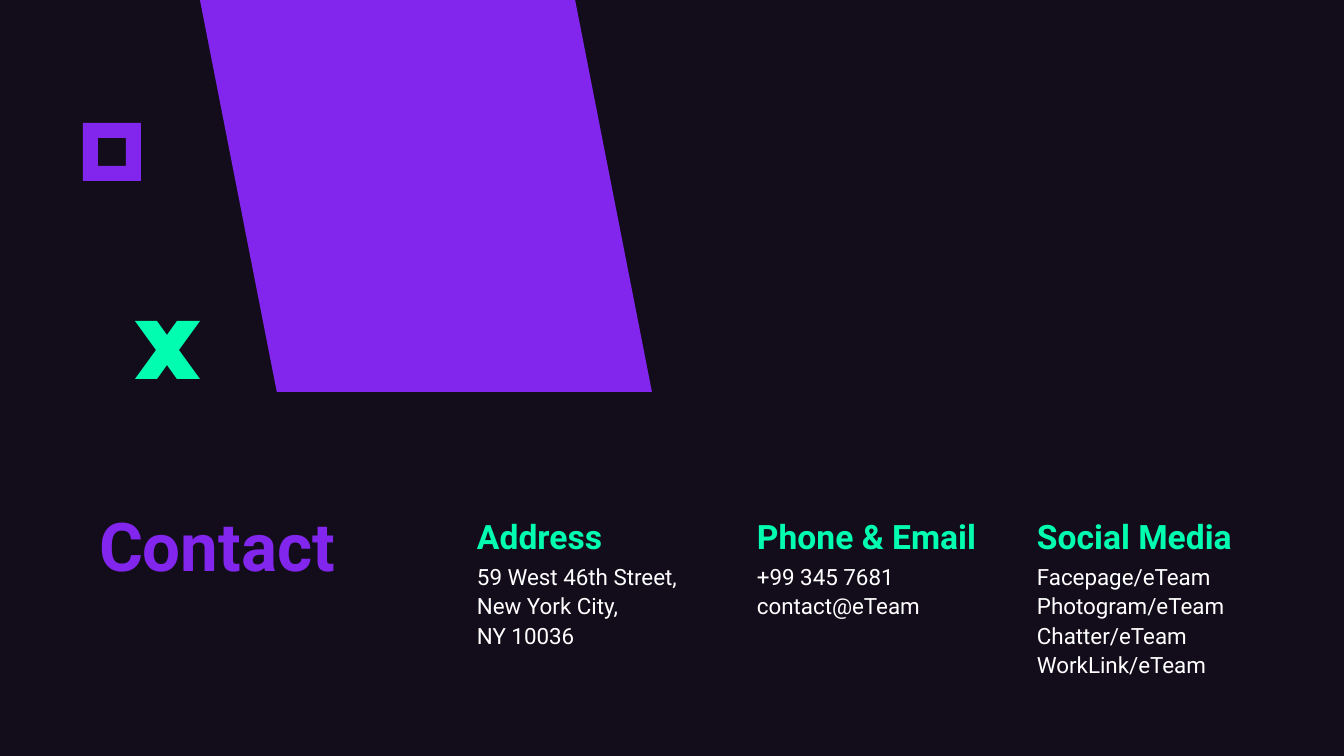
import copy

import pptx
import pptx.dml.color
import pptx.enum.shapes
import pptx.enum.text
import pptx.oxml.ns
import pptx.util

PX = 914400 / 100.8  # EMU in one pixel
ANCHOR = pptx.enum.text.MSO_ANCHOR
THEME = {
    "font": "Roboto",
    "dark": "130D1B", "purple": "8226EE", "green": "01FDB0", "white": "FFFFFF",
    "title": {"size": 48, "bold": True, "color": "purple", "spacing": 0.9, "anchor": ANCHOR.TOP},
    "heading": {"size": 24, "bold": True, "color": "green", "spacing": 1.1, "anchor": ANCHOR.BOTTOM},
    "body": {"size": 16, "bold": False, "color": "white", "spacing": 1.1, "anchor": ANCHOR.TOP},
}


def paint(sp, color):
    sp.shadow.inherit = False
    sp.fill.solid()
    sp.fill.fore_color.rgb = pptx.dml.color.RGBColor.from_string(THEME[color])
    sp.line.fill.background()


def add_text(text, style, box):
    """Add a text box; in text, \\n starts a paragraph and \\v breaks a line."""
    look = THEME[style]
    tf = slide.shapes.add_textbox(*[round(v * PX) for v in box]).text_frame
    frame = {"word_wrap": True, "vertical_anchor": look["anchor"], "margin_left": 0,
             "margin_top": 0, "margin_right": 0, "margin_bottom": 0}
    for name, value in frame.items():
        setattr(tf, name, value)
    tf.text = text
    font = {"name": THEME["font"], "size": pptx.util.Pt(look["size"]), "bold": look["bold"]}
    for p in tf.paragraphs:
        p.line_spacing = look["spacing"]
        for r in p.runs:
            for name, value in font.items():
                setattr(r.font, name, value)
            r.font.color.rgb = pptx.dml.color.RGBColor.from_string(THEME[look["color"]])
        # Line breaks take the type size of the text around them
        for br in p._p.findall(pptx.oxml.ns.qn("a:br")):
            br.append(copy.deepcopy(p.runs[0]._r.rPr))


prs = pptx.Presentation()
prs.slide_width = round(1344 * PX)
prs.slide_height = round(756 * PX)
slide = prs.slides.add_slide(prs.slide_layouts[6])
slide.background.fill.solid()
slide.background.fill.fore_color.rgb = pptx.dml.color.RGBColor.from_string(THEME["dark"])

# Title
add_text("Contact", "title", (99, 513, 353, 204))

# Contact columns
columns = [
    ("Address", "59 West 46th Street,\vNew York City,\vNY 10036"),
    ("Phone & Email", "+99 345 7681\ncontact@eTeam"),
    ("Social Media", "Facepage/eTeam\nPhotogram/eTeam\nChatter/eTeam\nWorkLink/eTeam"),
]
for i, (heading, body) in enumerate(columns):
    left = 477 + 280 * i
    add_text(heading, "heading", (left, 462, 255, 94))
    add_text(body, "body", (left, 560, 255, 134))

# Green cross and purple square ring
cross = [(135, 321), (157, 321), (167, 335), (177, 321), (200, 321), (179, 350),
         (200, 379), (177, 379), (167, 365), (157, 379), (135, 379), (156, 350)]
hole = [(98, 138), (98, 166), (126, 166), (126, 138)]
rim = [(83, 123), (141, 123), (141, 181), (83, 181)]
for color, outlines in [("green", [cross]), ("purple", [hole, rim])]:
    fb = slide.shapes.build_freeform(*outlines[0][0], scale=PX)
    for points in outlines:
        fb.move_to(*points[0])
        fb.add_line_segments(points[1:], close=True)
    paint(fb.convert_to_shape(), color)

# Purple slanted panel, leaning left
panel = [round(v * PX) for v in (200, 0, 452, 392)]
sp = slide.shapes.add_shape(pptx.enum.shapes.MSO_SHAPE.PARALLELOGRAM, *panel)
sp.adjustments[0] = 0.196
sp._element.spPr.xfrm.set("flipH", "1")
paint(sp, "purple")

prs.save("out.pptx")
